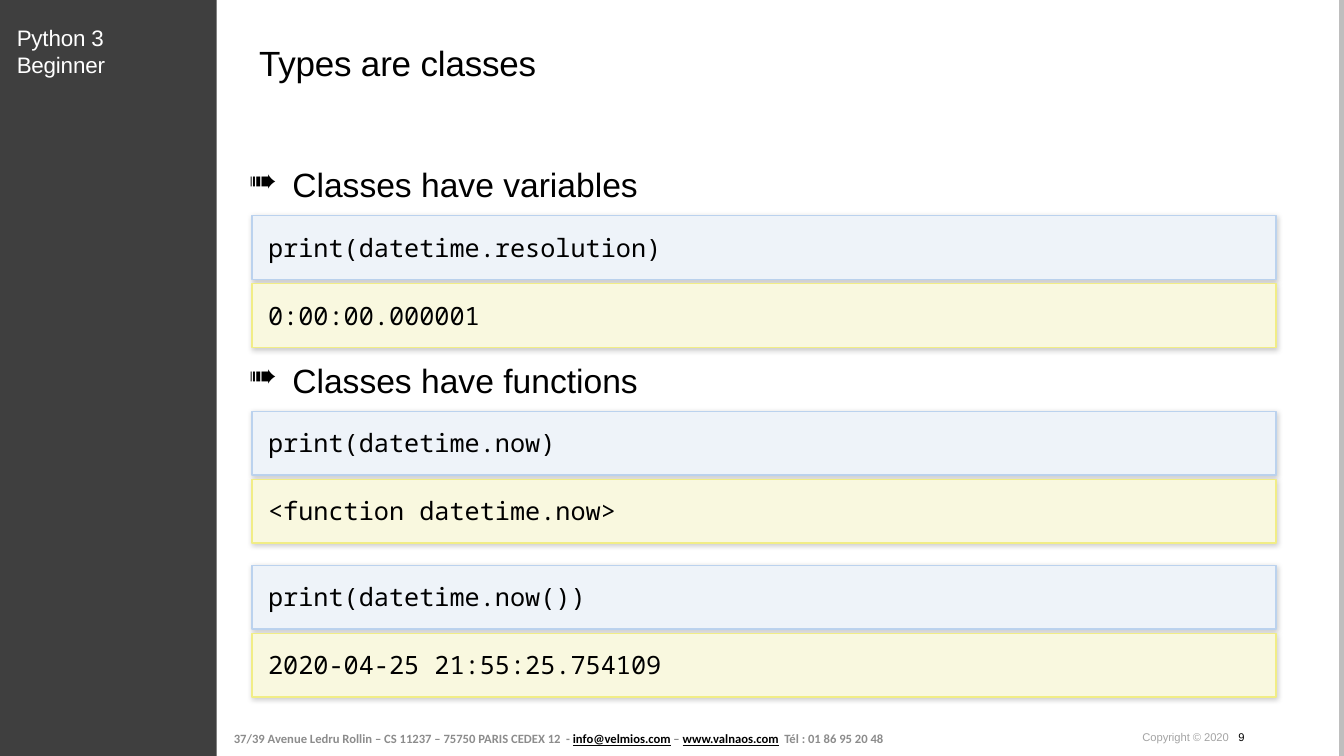
import dataclasses
import typing

import lxml.etree
import pptx
import pptx.dml.color
import pptx.enum.shapes
import pptx.enum.text
import pptx.oxml.ns
import pptx.util

COLS, ROWS = 160, 90
WIDE, HIGH = pptx.util.Inches(13.33), pptx.util.Inches(7.5)
TOP = pptx.enum.text.MSO_ANCHOR.TOP
MID = pptx.enum.text.MSO_ANCHOR.MIDDLE
RECT = pptx.enum.shapes.MSO_SHAPE.RECTANGLE
STRAIGHT = pptx.enum.shapes.MSO_CONNECTOR.STRAIGHT


@dataclasses.dataclass(frozen=True)
class Box:
    col: float
    row: float
    wide: float
    high: float


@dataclasses.dataclass(frozen=True)
class Style:
    font: str
    size: float
    ink: str = "000000"
    bold: bool = False
    under: bool = False
    space: float = 0


@dataclasses.dataclass(frozen=True)
class Part:
    text: str
    style: Style


@dataclasses.dataclass(frozen=True)
class Pair:
    row: float
    code: str
    result: str
    head: str = ""


GREY = Style("Calibri", 9, "8C8C8C", bold=True)
GAP = dataclasses.replace(GREY, space=2)
LINK = dataclasses.replace(GREY, ink="000000", under=True)
BRAND = Style("Arial", 16, "FFFFFF", space=-0.1)
TITLE = Style("Arial", 25, space=-0.1)
HEAD = Style("Arial", 24)
CODE = Style("Noto Sans Mono", 18)
RIGHTS = Style("Arial", 8, "A4A4A4", space=-0.05)

FOOT = [
    Part("37/39 Avenue Ledru Rollin – CS 11237 – 75750 PARIS CEDEX 12", GREY),
    Part(" ", GAP),
    Part("- ", GREY),
    Part("info@velmios.com", LINK),
    Part(" – ", GREY),
    Part("www.valnaos.com", LINK),
    Part(" ", GAP),
    Part("Tél : 01 86 95 20 48", GREY),
]
NOTICE = [
    Part("Copyright © 2020", RIGHTS),
    Part(" ", dataclasses.replace(RIGHTS, space=4.4)),
    Part("9", dataclasses.replace(RIGHTS, ink="000000", space=0)),
]
PAIRS = [
    Pair(25.68, "print(datetime.resolution)", "0:00:00.000001", "Classes have variables"),
    Pair(48.96, "print(datetime.now)", "<function datetime.now>", "Classes have functions"),
    Pair(67.3, "print(datetime.now())", "2020-04-25 21:55:25.754109"),
]
STEP = 8.1
RISE = 6.12


def across(cols: float) -> int:
    return round(WIDE * cols / COLS)


def down(rows: float) -> int:
    return round(HIGH * rows / ROWS)


def place(box: Box) -> tuple[int, int, int, int]:
    return across(box.col), down(box.row), across(box.wide), down(box.high)


def tint(hue: str) -> pptx.dml.color.RGBColor:
    return pptx.dml.color.RGBColor.from_string(hue)


def write(shape: typing.Any, parts: list[Part], side: float = 0, edge: float = 0,
          anchor: typing.Any = TOP, mark: str = "") -> None:
    frame = shape.text_frame
    frame.word_wrap = True
    frame.vertical_anchor = anchor
    frame.margin_left = frame.margin_right = across(side)
    frame.margin_top = frame.margin_bottom = down(edge)
    line = frame.paragraphs[0]
    line.alignment = pptx.enum.text.PP_ALIGN.LEFT
    if mark:
        props = line._p.get_or_add_pPr()
        props.set("marL", str(across(5.16)))
        props.set("indent", str(-across(5.16)))
        lxml.etree.SubElement(props, pptx.oxml.ns.qn("a:buChar")).set("char", mark)
    for part in parts:
        run = line.add_run()
        run.text = part.text
        style = part.style
        run.font.name = style.font
        run.font.size = pptx.util.Pt(style.size)
        run.font.bold = style.bold
        run.font.underline = style.under
        run.font.color.rgb = tint(style.ink)
        if style.space:
            run._r.get_or_add_rPr().set("spc", str(round(style.space * 100)))


def label(slide: typing.Any, box: Box, parts: list[Part], **rest: typing.Any) -> None:
    write(slide.shapes.add_textbox(*place(box)), parts, **rest)


def block(slide: typing.Any, box: Box, fill: str, rim: str = "") -> typing.Any:
    shape = slide.shapes.add_shape(RECT, *place(box))
    shape.shadow.inherit = False
    shape.fill.solid()
    shape.fill.fore_color.rgb = tint(fill)
    if rim:
        shape.line.color.rgb = tint(rim)
        shape.line.width = pptx.util.Pt(1)
    else:
        shape.line.fill.background()
    return shape


def shade(shape: typing.Any) -> None:
    name = pptx.oxml.ns.qn
    effects = shape._element.spPr.find(name("a:effectLst"))
    cast = lxml.etree.SubElement(effects, name("a:outerShdw"))
    cast.set("blurRad", str(pptx.util.Pt(4)))
    cast.set("dist", str(pptx.util.Pt(1)))
    cast.set("dir", "5400000")
    cast.set("rotWithShape", "0")
    hue = lxml.etree.SubElement(cast, name("a:srgbClr"))
    hue.set("val", "000000")
    lxml.etree.SubElement(hue, name("a:alpha")).set("val", "20000")


def panel(slide: typing.Any, row: float, text: str, fill: str, rim: str) -> None:
    shape = block(slide, Box(30, row, 121.9, 7.6), fill, rim)
    shade(shape)
    write(shape, [Part(text, CODE)], side=1.92, edge=1.92)


def rule(slide: typing.Any, col: float, hue: str, width: float) -> None:
    line = slide.shapes.add_connector(STRAIGHT, across(col), 0, across(col), HIGH)
    line.line.color.rgb = tint(hue)
    line.line.width = pptx.util.Pt(width)
    lxml.etree.SubElement(line._element.spPr, pptx.oxml.ns.qn("a:effectLst"))


def main() -> None:
    deck = pptx.Presentation()
    deck.slide_width, deck.slide_height = WIDE, HIGH
    slide = deck.slides.add_slide(deck.slide_layouts[6])
    rule(slide, 159.72, "BEBEBE", 3.34)
    block(slide, Box(0, 0, 25.8, ROWS), "3F3F3F")
    label(slide, Box(27, 86.04, 80.16, 3.84), FOOT, side=0.84, edge=0.48, anchor=MID)
    label(slide, Box(2, 2.88, 21, 6.48), [Part("Python 3 Beginner", BRAND)])
    label(slide, Box(30.84, 5, 108, 5.04), [Part("Types are classes", TITLE)])
    label(slide, Box(136, 87, 20.6, 1.56), NOTICE)
    for pair in PAIRS:
        if pair.head:
            label(slide, Box(29.64, pair.row - RISE, 120, 4.8),
                  [Part(pair.head, HEAD)], mark="➠")
        panel(slide, pair.row, pair.code, "EEF3F9", "BBD2EE")
        panel(slide, pair.row + STEP, pair.result, "F9F8DF", "F1ED86")
    deck.save("out.pptx")


if __name__ == "__main__":
    main()
